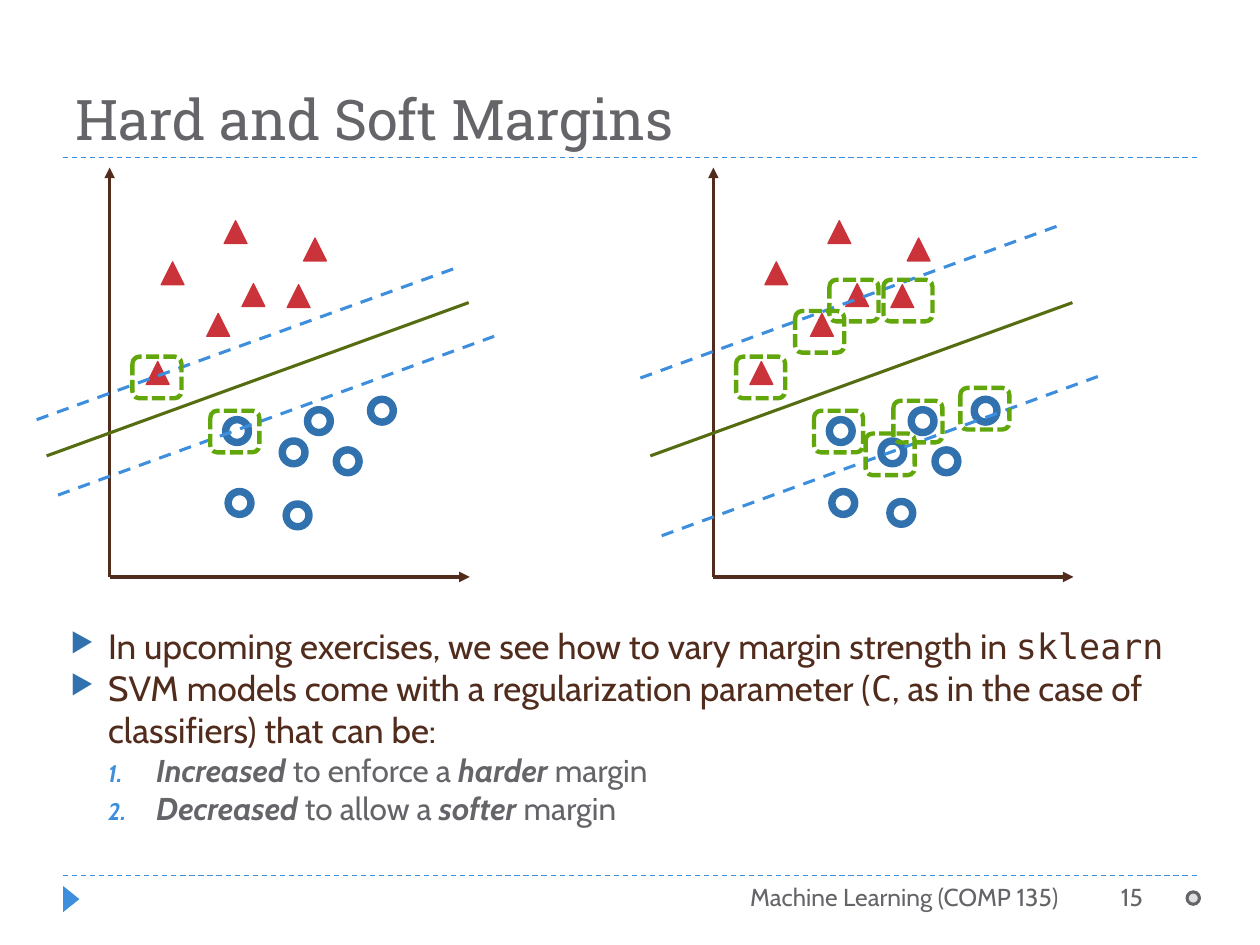
from lxml.etree import SubElement
from pptx import Presentation
from pptx.dml.color import RGBColor
from pptx.enum.dml import MSO_LINE
from pptx.enum.shapes import MSO_CONNECTOR, MSO_SHAPE
from pptx.enum.text import MSO_ANCHOR, MSO_AUTO_SIZE, PP_ALIGN
from pptx.oxml.ns import qn
from pptx.util import Cm, Pt

BLUE = RGBColor(0x3E, 0x8E, 0xDE)
DARK_BLUE = RGBColor(0x30, 0x71, 0xAE)
GRAY = RGBColor(0x64, 0x64, 0x69)
LIGHT_GRAY = RGBColor(0xE0, 0xE0, 0xE1)
BROWN = RGBColor(0x51, 0x2C, 0x1D)
RED = RGBColor(0xCB, 0x33, 0x3B)
OLIVE = RGBColor(0x56, 0x6C, 0x11)
GREEN = RGBColor(0x61, 0xA6, 0x0A)


def add_line(shapes, start, end, color, width, dash=None, arrow=False):
    line = shapes.add_connector(MSO_CONNECTOR.STRAIGHT, *map(Cm, start + end))
    line.line.color.rgb = color
    line.line.width = Pt(width)
    if dash:
        line.line.dash_style = dash
    if arrow:
        SubElement(line.line._get_or_add_ln(), qn("a:tailEnd"), type="triangle")
    SubElement(line._element.spPr, qn("a:effectLst"))


def add_mark(shapes, kind, box, fill=None, outline=None, width=0.75):
    mark = shapes.add_shape(kind, *map(Cm, box))
    mark.shadow.inherit = False
    if fill:
        mark.fill.solid()
        mark.fill.fore_color.rgb = fill
    else:
        mark.fill.background()
    if outline:
        mark.line.color.rgb = outline
        mark.line.width = Pt(width)
    else:
        mark.line.fill.background()
    return mark


presentation = Presentation()
presentation.slide_width, presentation.slide_height = Cm(25.4), Cm(19.05)
slide = presentation.slides.add_slide(presentation.slide_layouts[5])

# Rules and corner ornaments
for y in (17.65, 3.18):
    add_line(slide.shapes, (1.27, y), (24.13, y), BLUE, 0.75, MSO_LINE.DASH)
corner = add_mark(slide.shapes, MSO_SHAPE.ISOSCELES_TRIANGLE,
                  (1.17, 17.96, 0.53, 0.33), BLUE)
corner.rotation = 90
add_mark(slide.shapes, MSO_SHAPE.OVAL, (23.93, 17.98, 0.25, 0.25),
         LIGHT_GRAY, GRAY, 1.75)

# Title
title = slide.shapes.title
title.left, title.top, title.width, title.height = map(Cm, (1.27, 0.64, 22.86, 2.54))
title.text_frame.text = "Hard and Soft Margins"
title.text_frame.vertical_anchor = MSO_ANCHOR.BOTTOM
title.text_frame.auto_size = MSO_AUTO_SIZE.NONE
heading = title.text_frame.paragraphs[0]
heading.alignment = PP_ALIGN.LEFT
heading.font.name = "Roboto Slab"
heading.font.size = Pt(32)
heading.font.color.rgb = GRAY

# Margin plots: positions are those of the left plot, shifted for the right one
triangles = [(2.95, 7.29), (3.25, 5.28), (4.52, 4.45), (4.88, 5.72),
             (4.17, 6.32), (6.12, 4.8), (5.79, 5.74)]
shared_circles = [(7.47, 8.05), (4.55, 8.46), (4.6, 9.91), (6.2, 8.26)]
shared_supports = [(2.67, 7.19), (4.24, 8.28)]
hard = dict(
    shapes=slide.shapes, shift=0, upper=(8.46, 5.38), lower=(9.98, 6.78),
    circles=[(5.69, 8.89), (5.77, 10.16), (6.78, 9.07)], supports=[])
soft = dict(
    shapes=slide.shapes.add_group_shape().shapes, shift=12.17,
    upper=(7.62, 4.52), lower=(10.8, 7.59),
    circles=[(5.59, 8.89), (5.77, 10.11), (6.68, 9.07)],
    supports=[(4.55, 5.64), (3.86, 6.27), (5.64, 5.64),
              (5.28, 8.74), (5.84, 8.08), (7.19, 7.82)])

for plot in (hard, soft):
    shapes, shift = plot["shapes"], plot["shift"]
    origin = (2.21 + shift, 11.63)
    for axis_end in ((2.21 + shift, 3.38), (9.47 + shift, 11.63)):
        add_line(shapes, origin, axis_end, BROWN, 2, arrow=True)
    for x, y in shared_circles + plot["circles"]:
        add_mark(shapes, MSO_SHAPE.OVAL, (x + shift, y, 0.46, 0.46),
                 outline=DARK_BLUE, width=4.25)
    for x, y in triangles:
        add_mark(shapes, MSO_SHAPE.ISOSCELES_TRIANGLE,
                 (x + shift, y, 0.46, 0.46), RED, RED)
    for x1, x2, (y1, y2), color, dash in (
            (0.74, 9.25, plot["upper"], BLUE, MSO_LINE.DASH),
            (1.17, 9.96, plot["lower"], BLUE, MSO_LINE.DASH),
            (0.94, 9.45, (9.19, 6.1), OLIVE, None)):
        add_line(shapes, (x1 + shift, y1), (x2 + shift, y2), color, 1.75, dash)
    for x, y in shared_supports + plot["supports"]:
        support = add_mark(shapes, MSO_SHAPE.ROUNDED_RECTANGLE,
                           (x + shift, y, 0.99, 0.84), outline=GREEN, width=2.5)
        support.line.dash_style = MSO_LINE.SQUARE_DOT

# Bullets and numbered steps: (level, [(text, style)])
points = [
    (0, [("In upcoming exercises, we see how to vary margin strength in ", ""),
         ("sklearn", "code")]),
    (0, [("SVM models come with a regularization parameter (", ""), ("C", "code"),
         (", as in the case of classifiers) that can be:", "")]),
    (1, [("Increased ", "strong"), ("to enforce a ", ""),
         ("harder", "strong"), (" margin", "")]),
    (1, [("Decreased ", "strong"), ("to allow a ", ""),
         ("softer ", "strong"), ("margin", "")]),
]
levels = [  # indent, hanging, size, text colour, bullet colour, bullet
    (0.76, 0.76, 20, BROWN, DARK_BLUE, ("a:buChar", {"char": "▶"})),
    (1.73, 0.97, 18, GRAY, BLUE, ("a:buAutoNum", {"type": "arabicPeriod"})),
]
body = slide.shapes.add_textbox(*map(Cm, (1.17, 12.47, 22.96, 4.62))).text_frame
body.word_wrap = True
for index, (level, pieces) in enumerate(points):
    indent, hanging, size, color, bullet_color, (bullet, kind) = levels[level]
    point = body.add_paragraph() if index else body.paragraphs[0]
    point.level = level
    properties = point._p.get_or_add_pPr()
    properties.set("marL", str(Cm(indent)))
    properties.set("indent", str(-Cm(hanging)))
    SubElement(SubElement(properties, qn("a:buClr")), qn("a:srgbClr"),
               val=str(bullet_color))
    SubElement(properties, qn("a:buSzPct"), val="76000")
    SubElement(properties, qn(bullet), kind)
    for text, style in pieces:
        run = point.add_run()
        run.text = text
        run.font.name = "DejaVu Sans Mono" if style == "code" else "Cabin"
        run.font.size = Pt(size)
        run.font.color.rgb = color
        run.font.bold = run.font.italic = style == "strong"

# Footer and slide number
for text, left, width in (("Machine Learning (COMP 135)", 9.73, 11.86),
                          ("15", 20.52, 2.77)):
    footer = slide.shapes.add_textbox(Cm(left), Cm(17.65), Cm(width), Cm(1.02))
    footer.text_frame.word_wrap = True
    footer.text_frame.text = text
    footer_line = footer.text_frame.paragraphs[0]
    footer_line.alignment = PP_ALIGN.RIGHT
    footer_line.font.name = "Cabin"
    footer_line.font.size = Pt(14)
    footer_line.font.color.rgb = GRAY

presentation.save("out.pptx")
